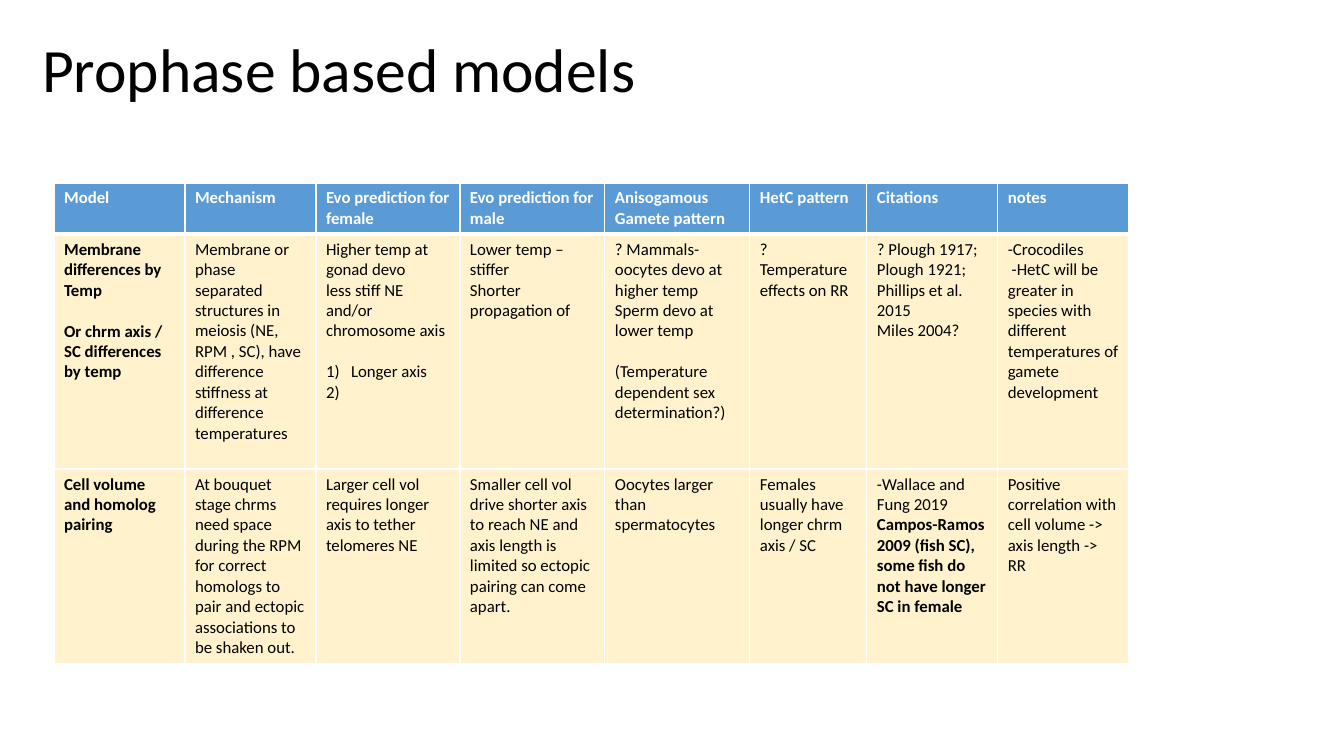
import pptx
import pptx.util
import pptx.dml.color
import pptx.enum.text
import pptx.oxml
import pptx.oxml.ns

INK = {"text": "000000", "white": "FFFFFF", "head": "5B9BD5", "body": "FFF2CC"}
SCALE = 914400 / 100.8
GAP = {"before": 14.65}
LIST = {"number": True}

HEADS = ["Model", "Mechanism", "Evo prediction for female", "Evo prediction for male",
         "Anisogamous Gamete pattern", "HetC pattern", "Citations", "notes"]
TEMP = [
    ["Membrane differences by Temp", ("Or chrm axis / SC differences by temp", GAP)],
    ["Membrane or phase separated structures in meiosis (NE, RPM , SC), "
     "have difference stiffness at difference temperatures"],
    ["Higher temp at gonad devo ", "less stiff NE and/or chromosome axis",
     ("Longer axis", {**GAP, **LIST}), (" ", LIST)],
    ["Lower temp – stiffer ", "Shorter propagation of "],
    ["? Mammals- oocytes devo at higher temp", "Sperm devo at lower temp",
     ("(Temperature dependent sex determination?)", GAP)],
    ["?", "Temperature effects on RR"],
    ["? Plough 1917;", "Plough 1921;", "Phillips et al. 2015", "Miles 2004?"],
    ["-Crocodiles", " -HetC will be greater in species with different "
     "temperatures of gamete development"],
]
VOLUME = [
    ["Cell volume and homolog pairing"],
    ["At bouquet stage chrms need space during the RPM for correct homologs "
     "to pair and ectopic associations to be shaken out."],
    ["Larger cell vol requires longer axis to tether telomeres NE"],
    ["Smaller cell vol drive shorter axis to reach NE and axis length is "
     "limited so ectopic pairing can come apart."],
    ["Oocytes larger than spermatocytes"],
    ["Females usually have longer chrm axis / SC"],
    ["-Wallace and Fung 2019",
     ("Campos-Ramos 2009 (fish SC), some fish do not have longer SC in female", {"bold": True})],
    ["Positive correlation with cell volume -> axis length -> RR"],
]
ROWS = [[[head] for head in HEADS], TEMP, VOLUME]
WIDTHS = [131, 131, 144, 145, 145, 117, 131, 131]
HEIGHTS = [51, 235, 194]


def px(size):
    return pptx.util.Emu(round(size * SCALE))


def rgb(name):
    return pptx.dml.color.RGBColor.from_string(INK[name])


def write(par, text, size=12, bold=False, color="text", before=0, space=1, number=False):
    par.alignment = pptx.enum.text.PP_ALIGN.LEFT
    par.line_spacing = space
    par.space_before = pptx.util.Pt(before)
    run = par.add_run()
    run.text = text
    run.font.name = "Calibri"
    run.font.size = pptx.util.Pt(size)
    run.font.bold = bold
    run.font.color.rgb = rgb(color)
    if number:
        props = par._p.get_or_add_pPr()
        props.set("marL", str(px(25)))
        props.set("indent", str(-px(25)))
        mark = pptx.oxml.parse_xml(
            f'<a:buAutoNum {pptx.oxml.ns.nsdecls("a")} type="arabicParenR"/>')
        props.append(mark)


def edge(cell, sides):
    props = cell._tc.get_or_add_tcPr()
    for spot, (side, width) in enumerate(sides.items()):
        line = pptx.oxml.parse_xml(
            f'<a:ln{side} {pptx.oxml.ns.nsdecls("a")} w="{width * 12700}">'
            f'<a:solidFill><a:srgbClr val="{INK["white"]}"/></a:solidFill></a:ln{side}>')
        props.insert(spot, line)


def fill_cell(cell, parts, row, col):
    head = row == 0
    cell.fill.solid()
    cell.fill.fore_color.rgb = rgb("head" if head else "body")
    edge(cell, {"L": 1, "R": 1, "T": 3 if row == 1 else 1, "B": 3 if head else 1})
    base = {"bold": head or col == 0, "color": "white" if head else "text"}
    frame = cell.text_frame
    for spot, part in enumerate(parts):
        text, extra = part if isinstance(part, tuple) else (part, {})
        par = frame.add_paragraph() if spot else frame.paragraphs[0]
        write(par, text, **{**base, **extra})


def add_title(slide, box, text):
    title = slide.shapes.title
    title.left, title.top, title.width, title.height = map(px, box)
    frame = title.text_frame
    frame.word_wrap = True
    frame.auto_size = pptx.enum.text.MSO_AUTO_SIZE.NONE
    frame.vertical_anchor = pptx.enum.text.MSO_ANCHOR.MIDDLE
    write(frame.paragraphs[0], text, size=44, space=0.9)


def add_grid(slide, box):
    grid = slide.shapes.add_table(len(ROWS), len(HEADS), *map(px, box)).table
    grid.horz_banding = False
    for col, width in zip(grid.columns, WIDTHS):
        col.width = px(width)
    for row, height in zip(grid.rows, HEIGHTS):
        row.height = px(height)
    for row, cells in enumerate(ROWS):
        for col, parts in enumerate(cells):
            fill_cell(grid.cell(row, col), parts, row, col)


deck = pptx.Presentation()
deck.slide_width, deck.slide_height = px(1344), px(756)
slide = deck.slides.add_slide(deck.slide_layouts[5])
add_title(slide, (32, 0, 1159, 146), "Prophase based models")
add_grid(slide, (54, 183, sum(WIDTHS), sum(HEIGHTS)))
deck.save("out.pptx")
